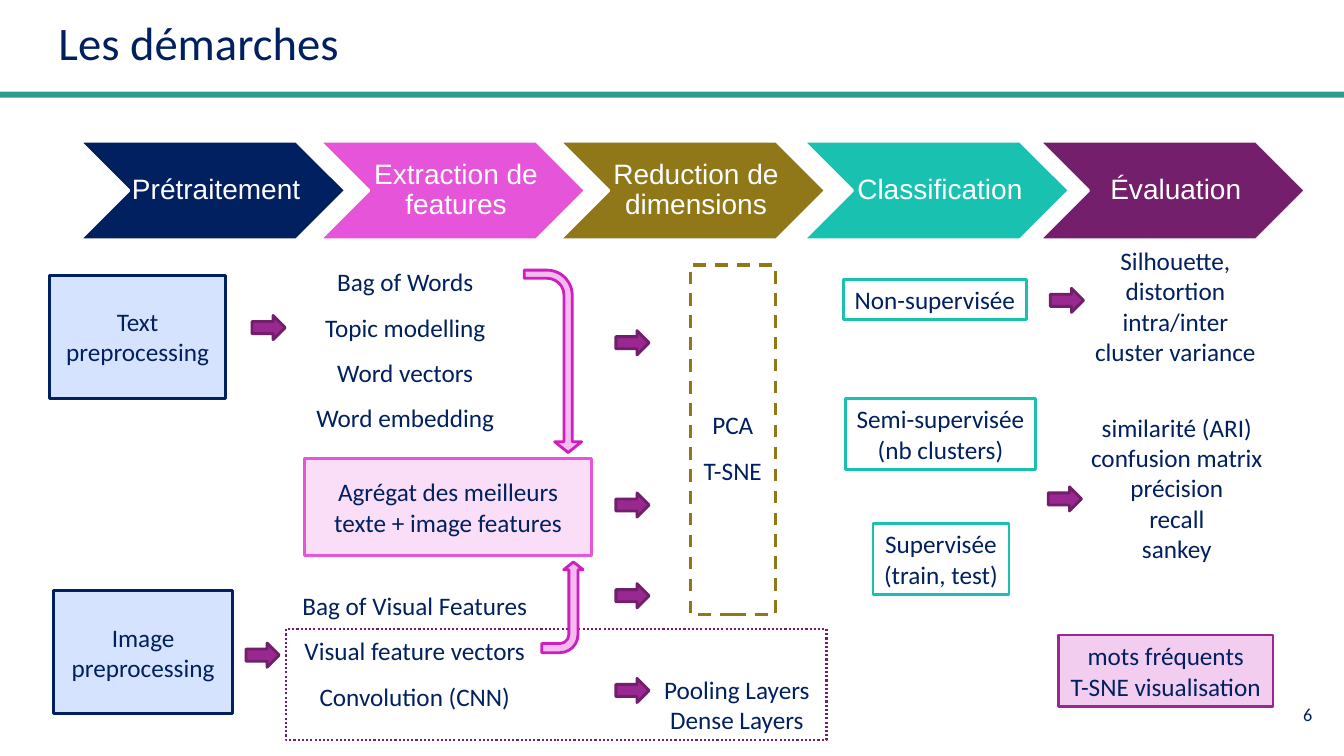
from pptx import Presentation
from pptx import util as u
from pptx.dml.color import RGBColor
from pptx.enum import dml, shapes, text

COLUMNS, ROWS = 133.33, 75
CELL = u.Inches(0.1)

NAVY = RGBColor(0x00, 0x20, 0x60)
WHITE = RGBColor(0xFF, 0xFF, 0xFF)
GREEN = RGBColor(0x31, 0x99, 0x8E)
PINK = RGBColor(0xE6, 0x55, 0xD9)
OLIVE = RGBColor(0x90, 0x78, 0x19)
TEAL = RGBColor(0x19, 0xC2, 0xB0)
PLUM = RGBColor(0x73, 0x1F, 0x6C)
DARK_PLUM = RGBColor(0x71, 0x1E, 0x6B)
PURPLE = RGBColor(0x99, 0x29, 0x90)
MAGENTA = RGBColor(0xCE, 0x1E, 0xBE)
PALE_BLUE = RGBColor(0xD6, 0xE3, 0xFF)
PALE_PINK = RGBColor(0xFA, 0xDD, 0xF7)
PALE_PURPLE = RGBColor(0xF2, 0xCD, 0xEF)
PALE_MAGENTA = RGBColor(0xF5, 0xBB, 0xF0)

TITLE = "Les démarches"
PAGE_NUMBER = "6"

STEPS = [
    (7.9, "Prétraitement", NAVY),
    (31.7, "Extraction de features", PINK),
    (55.5, "Reduction de dimensions", OLIVE),
    (79.7, "Classification", TEAL),
    (103.1, "Évaluation", PLUM),
]
STEP_TOP, STEP_WIDTH, STEP_HEIGHT = 14, 26.4, 9.8
LABEL_SHIFT, LABEL_WIDTH = 3.5, 19.6

PANELS = [
    ((4.9, 27.3, 17.5, 12.2), ["Text", "preprocessing"], PALE_BLUE, NAVY),
    ((5.3, 58.6, 17.8, 12.2), ["Image", "preprocessing"], PALE_BLUE, NAVY),
    ((83.7, 27.7, 18.1, 4), ["Non-supervisée"], WHITE, TEAL),
    ((83.9, 39.5, 18.8, 7.1), ["Semi-supervisée", "(nb clusters)"], WHITE, TEAL),
    ((86.6, 51.9, 13.5, 7.1), ["Supervisée", "(train, test)"], WHITE, TEAL),
    ((30.2, 45.5, 28.5, 9.6), ["Agrégat des meilleurs", "texte + image features"], PALE_PINK, PINK),
    ((105, 63, 21.3, 7.1), ["mots fréquents", "T-SNE visualisation"], PALE_PURPLE, PURPLE),
]

NOTES = [
    ((30.2, 24.6, 20, 18.7), ["Bag of Words", "Topic modelling", "Word vectors", "Word embedding"], 1.5),
    ((28.8, 56.7, 24.7, 14.2), ["Bag of Visual Features", "Visual feature vectors", "Convolution (CNN)"], 1.5),
    ((64.7, 66.3, 16.8, 7.1), ["Pooling Layers", "Dense Layers"], 1),
    ((107.5, 23.8, 18.2, 13.1), ["Silhouette,", "distortion", "intra/inter", "cluster variance"], 1),
    ((107.1, 40.3, 19.3, 16.2), ["similarité (ARI)", "confusion matrix", "précision", "recall", "sankey"], 1),
]

ARROW_SIZE = (3.3, 2.4)
ARROWS = [(25, 31.3), (24.4, 63.8), (61.1, 32.8), (61.1, 67.3),
          (61.1, 57.9), (61.1, 48.9), (104.2, 28.6), (104, 48.3)]

BENT_ARROWS = [
    ((51.3, 58.2, 9, 4.1), (0.221, 0.235, 0.188, 0.438), True),
    ((45.8, 33, 18.1, 5.7), (0.142, 0.235, 0.188, 0.438), False),
]

deck = Presentation()
deck.slide_width, deck.slide_height = int(COLUMNS * CELL), int(ROWS * CELL)
page = deck.slides.add_slide(deck.slide_layouts[6])


def apply(target, values):
    for name, value in values.items():
        setattr(target, name, value)


def place(area):
    return [int(length * CELL) for length in area]


def add_figure(kind, area, fill=None, outline=None, weight=2, dash=None, parent=page):
    figure = parent.shapes.add_shape(kind, *place(area))
    figure.shadow.inherit = False
    if fill is None:
        figure.fill.background()
    else:
        figure.fill.solid()
        figure.fill.fore_color.rgb = fill
    if outline is None:
        figure.line.fill.background()
    else:
        figure.line.color.rgb = outline
        apply(figure.line, {"width": u.Pt(weight), "dash_style": dash})
    return figure


def write(box, lines, size=18, font="Calibri", color=NAVY, align=text.PP_ALIGN.CENTER,
          spacing=1, wrap=False, anchor=text.MSO_ANCHOR.MIDDLE, insets=(1, 0.5, 1, 0.5)):
    frame = box.text_frame
    sides = ("margin_left", "margin_top", "margin_right", "margin_bottom")
    apply(frame, {"word_wrap": wrap, "vertical_anchor": anchor, **dict(zip(sides, place(insets)))})
    for index, line in enumerate(lines):
        para = frame.add_paragraph() if index else frame.paragraphs[0]
        apply(para, {"alignment": align, "line_spacing": spacing})
        span = para.add_run()
        span.text = line
        apply(span.font, {"size": u.Pt(size), "name": font})
        span.font.color.rgb = color


def add_text(area, lines, parent=page, **style):
    write(parent.shapes.add_textbox(*place(area)), lines, **style)


KIND = shapes.MSO_SHAPE
DASH = dml.MSO_LINE

add_figure(KIND.RECTANGLE, (0, 9.1, COLUMNS, 0.6), GREEN)
add_figure(KIND.RECTANGLE, (28.4, 62.4, 53.6, 11), None, DARK_PLUM, 1.5, DASH.ROUND_DOT)
add_text((4.5, -0.2, 124.2, 8.3), [TITLE], size=33.3, align=text.PP_ALIGN.LEFT,
         wrap=True, anchor=text.MSO_ANCHOR.TOP, insets=(1.3, 1.6, 1.3, 1.3))
add_text((123.5, 68, 8, 5.7), [PAGE_NUMBER], size=13, align=text.PP_ALIGN.RIGHT,
         wrap=True, insets=(1.3, 1.3, 1.3, 1.3))

chain = page.shapes.add_group_shape()
for left, label, color in STEPS:
    add_figure(KIND.CHEVRON, (left, STEP_TOP, STEP_WIDTH, STEP_HEIGHT), color, WHITE, parent=chain)
    add_text((left + LABEL_SHIFT, STEP_TOP, LABEL_WIDTH, STEP_HEIGHT), [label], parent=chain,
             size=20, font="Arial", color=WHITE, spacing=0.9, wrap=True,
             insets=(0.7, 0.2, 0.2, 0.2))

for area, lines, fill, outline in PANELS:
    write(add_figure(KIND.RECTANGLE, area, fill, outline), lines)

reduction = add_figure(KIND.RECTANGLE, (68.5, 26.3, 8.4, 34.7), WHITE, OLIVE, 2.25, DASH.DASH)
write(reduction, ["PCA", "T-SNE"], spacing=1.5)

for area, lines, spacing in NOTES:
    add_text(area, lines, spacing=spacing)

for corner in ARROWS:
    add_figure(KIND.RIGHT_ARROW, corner + ARROW_SIZE, PURPLE, DARK_PLUM)

for area, bends, flipped in BENT_ARROWS:
    arrow = add_figure(KIND.BENT_ARROW, area, PALE_MAGENTA, MAGENTA)
    arrow.rotation = 90
    for index, bend in enumerate(bends):
        arrow.adjustments[index] = bend
    if flipped:
        arrow.element.spPr.xfrm.set("flipH", "1")

deck.save("out.pptx")
